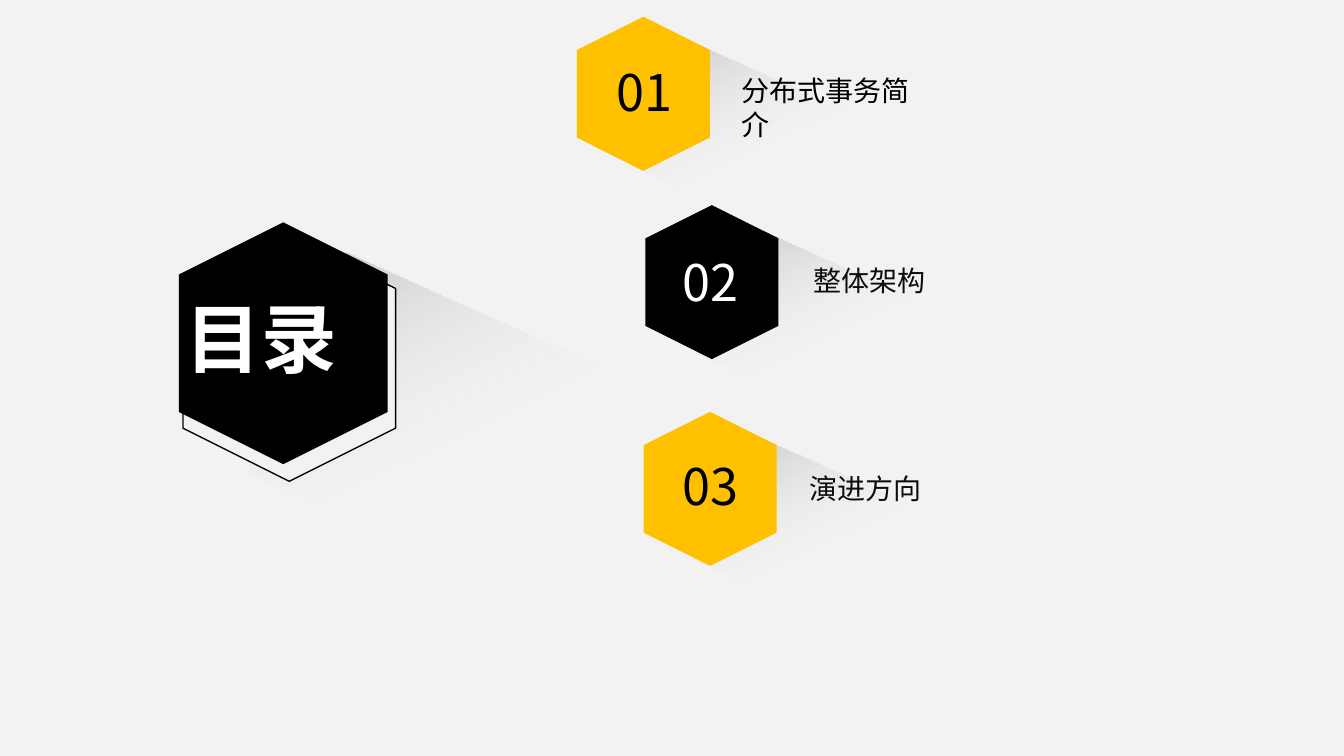
"""Build the contents slide with hexagon markers and long soft shadows."""
from lxml import etree
from pptx import Presentation
from pptx.dml.color import RGBColor
from pptx.enum.shapes import MSO_SHAPE as Preset
from pptx.enum.text import MSO_ANCHOR as Anchor, MSO_AUTO_SIZE as AutoSize, PP_ALIGN as Align
from pptx.oxml import parse_xml
from pptx.oxml.ns import nsdecls, qn
from pptx.util import Pt

FONT = "Noto Sans CJK SC"
BLACK, WHITE, YELLOW, PALE, INK = "000000", "FFFFFF", "FFC000", "F2F2F2", "0D0D0D"

HEADING = "目录"
HEADING_BOX = (125.3, 205.2, 151.2, 72.7)
HEADING_CENTER, HEADING_SIZE = (202.3, 245.2), (172.8, 149)
OUTLINE_CENTER, OUTLINE_SIZE = (206.6, 256), (175.7, 151.9)
HEADING_SHADOW = (158, 80.6), (324.7, 172.1)

ENTRIES = [
    dict(number="01", label="分布式事务简介", center=(459.5, 67), fill=YELLOW,
         number_ink=BLACK, label_ink=BLACK, number_at=(433.4, 40.3), label_at=(522.7, 49)),
    dict(number="03", label="演进方向", center=(507.2, 349.2), fill=YELLOW,
         number_ink=BLACK, label_ink=INK, number_at=(480.2, 321.8), label_at=(571, 333.4)),
    dict(number="02", label="整体架构", center=(508.5, 201.5), fill=BLACK,
         number_ink=WHITE, label_ink=INK, number_at=(480.2, 175.7), label_at=(573.8, 185)),
]
ENTRY_SIZE = (110, 95)
ENTRY_SHADOW = (103, 47.8), (206.6, 98.6)
NUMBER_SIZE = (65.5, 51.1)
LABEL_HEIGHT, LABEL_POINTS, LABEL_PADDING = 31.7, 20, 14.4

SHADOW_FILL = f"""<a:gradFill {nsdecls("a")} rotWithShape="1"><a:gsLst>
<a:gs pos="0"><a:srgbClr val="85A3D9"><a:alpha val="54000"/></a:srgbClr></a:gs>
<a:gs pos="0"><a:srgbClr val="BFBFBF"/></a:gs>
<a:gs pos="54000"><a:srgbClr val="FFFFFF"><a:alpha val="0"/></a:srgbClr></a:gs>
</a:gsLst><a:lin ang="2400000" scaled="0"/></a:gradFill>"""


def color(hex_code):
    return RGBColor.from_string(hex_code)


def add_centered(slide, preset, center, size, rotation):
    left, top = (middle - length / 2 for middle, length in zip(center, size))
    shape = slide.shapes.add_shape(preset, Pt(left), Pt(top), *map(Pt, size))
    shape.rotation = rotation
    shape.shadow.inherit = False
    shape.line.fill.background()
    return shape


def add_hexagon(slide, center, size, fill, outline=None):
    hexagon = add_centered(slide, Preset.HEXAGON, center, size, 90)
    hexagon.fill.solid()
    hexagon.fill.fore_color.rgb = color(fill)
    if outline:
        hexagon.line.color.rgb = color(outline)
        hexagon.line.width = Pt(1)


def add_shadow(slide, center, offset, size):
    middle = [start + shift for start, shift in zip(center, offset)]
    shadow = add_centered(slide, Preset.RECTANGLE, middle, size, 24.2)
    geometry = shadow.element.spPr.find(qn("a:prstGeom"))
    geometry.addnext(parse_xml(SHADOW_FILL))


def write(frame, text, points, ink, bold=False, wrap=True, align=Align.LEFT):
    frame.word_wrap = wrap
    frame.auto_size = AutoSize.SHAPE_TO_FIT_TEXT
    frame.vertical_anchor = Anchor.TOP
    paragraph = frame.paragraphs[0]
    paragraph.alignment = align
    paragraph.line_spacing = 1.0
    run = paragraph.add_run()
    run.text = text
    run.font.size = Pt(points)
    run.font.name = FONT
    run.font.bold = bold
    run.font.color.rgb = color(ink)
    etree.SubElement(run.font._element, qn("a:ea"), typeface=FONT)


def add_heading(slide):
    offset, size = HEADING_SHADOW
    add_shadow(slide, HEADING_CENTER, offset, size)
    add_hexagon(slide, OUTLINE_CENTER, OUTLINE_SIZE, PALE, BLACK)
    add_hexagon(slide, HEADING_CENTER, HEADING_SIZE, BLACK)
    title = slide.shapes.title
    title.left, title.top, title.width, title.height = map(Pt, HEADING_BOX)
    write(title.text_frame, HEADING, 54, WHITE, bold=True, align=Align.JUSTIFY)
    slide.shapes.element.append(title.element)


def add_entry(slide, entry):
    offset, size = ENTRY_SHADOW
    add_shadow(slide, entry["center"], offset, size)
    add_hexagon(slide, entry["center"], ENTRY_SIZE, entry["fill"])
    number = slide.shapes.add_textbox(*map(Pt, entry["number_at"] + NUMBER_SIZE))
    write(number.text_frame, entry["number"], 36, entry["number_ink"])
    label_size = (len(entry["label"]) * LABEL_POINTS + LABEL_PADDING, LABEL_HEIGHT)
    label = slide.shapes.add_textbox(*map(Pt, entry["label_at"] + label_size))
    write(label.text_frame, entry["label"], LABEL_POINTS, entry["label_ink"], wrap=False)


def main():
    deck = Presentation()
    deck.slide_width, deck.slide_height = Pt(960), Pt(540)
    slide = deck.slides.add_slide(deck.slide_layouts[5])
    slide.background.fill.solid()
    slide.background.fill.fore_color.rgb = color(PALE)
    add_heading(slide)
    for entry in ENTRIES:
        add_entry(slide, entry)
    deck.save("out.pptx")


if __name__ == "__main__":
    main()
